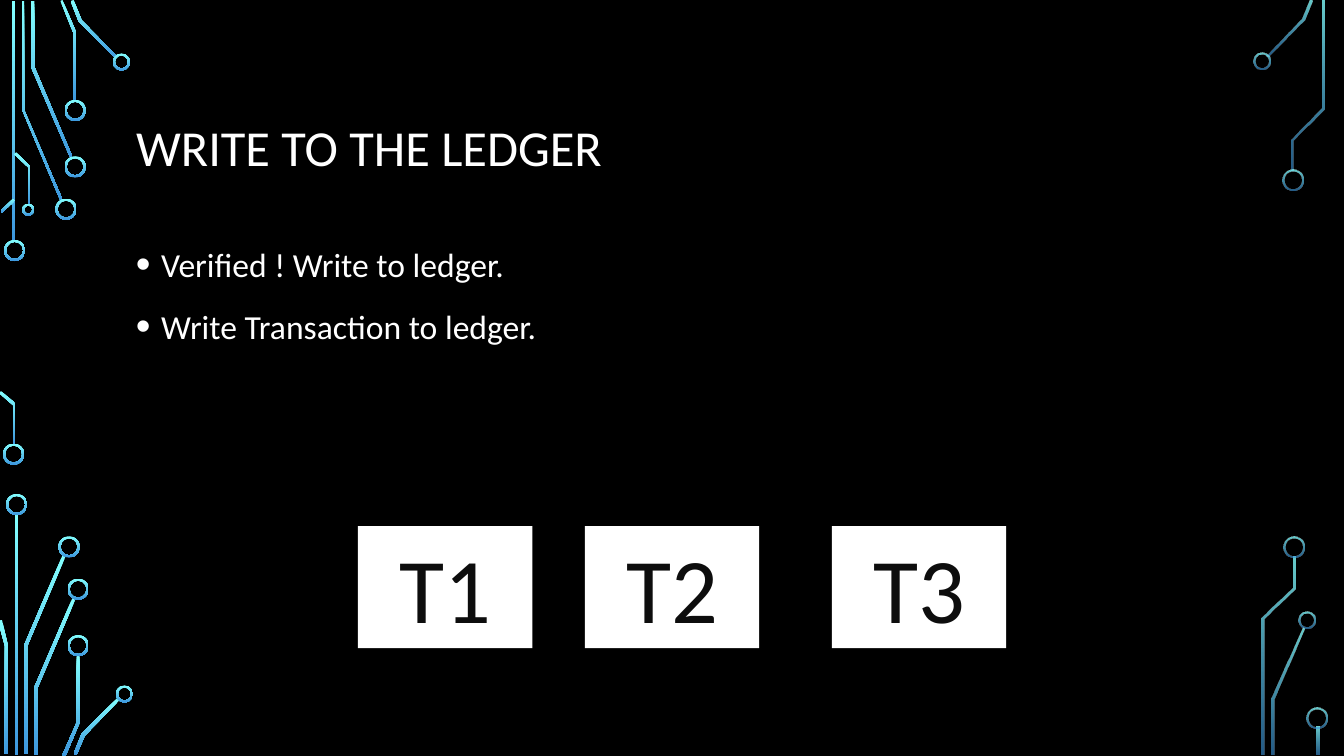
import dataclasses
import typing

import pptx
import pptx.dml.color
import pptx.enum.shapes
import pptx.enum.text
import pptx.oxml.ns
import pptx.util
from lxml import etree

PX = 9144  # EMU in one px, 100 px to the inch
FONT = "Calibri"
COLORS = {
    "background": "000000",
    "glow_top": "82FFFF",
    "glow_bottom": "3D97DE",
    "text": "FFFFFF",
    "card": "FFFFFF",
    "card_text": "0D0D0D",
}
SHAPES = pptx.enum.shapes.MSO_SHAPE
RING_WALL = 2


@dataclasses.dataclass(frozen=True)
class Box:
    left: int
    top: int
    width: int
    height: int

    def emu(self) -> tuple[int, int, int, int]:
        return self.left * PX, self.top * PX, self.width * PX, self.height * PX


@dataclasses.dataclass(frozen=True)
class Ring:
    left: int
    top: int
    size: int = 21


@dataclasses.dataclass(frozen=True)
class Circuit:
    opacity: tuple[int, int]  # percent at top and bottom
    bars: list[Box]
    rings: list[Ring]
    traces: list[list[tuple[int, int]]]


@dataclasses.dataclass(frozen=True)
class Card:
    label: str
    left: int


LEFT_CIRCUIT = Circuit(
    opacity=(100, 100),
    bars=[Box(12, 1, 3, 239), Box(15, 510, 3, 239)],
    rings=[
        Ring(4, 238), Ring(3, 440), Ring(55, 197), Ring(64, 155), Ring(64, 99),
        Ring(112, 53, 17), Ring(22, 202, 12), Ring(6, 490), Ring(58, 532),
        Ring(67, 574), Ring(67, 630), Ring(115, 680, 17),
    ],
    traces=[
        [(60, 199), (22, 109), (22, 1), (24, 1), (24, 109), (62, 198)],
        [(70, 157), (31, 67), (31, 1), (34, 1), (34, 66), (72, 156)],
        [(76, 100), (73, 100), (73, 33), (60, 1), (62, 0), (76, 33)],
        [(115, 58), (78, 21), (70, 1), (73, 0), (81, 20), (116, 56)],
        [(2, 211), (1, 209), (13, 197), (15, 199)],
        [(15, 441), (13, 441), (13, 402), (-1, 390), (1, 388), (15, 400)],
        [(30, 203), (28, 203), (28, 166), (14, 153), (16, 151), (30, 165)],
        [(27, 748), (24, 748), (24, 640), (62, 551), (65, 552), (27, 641)],
        [(8, 748), (5, 748), (5, 641), (-2, 616), (2, 615), (8, 641)],
        [(37, 749), (34, 749), (34, 682), (72, 593), (75, 594), (37, 683)],
        [(65, 750), (62, 749), (76, 717), (76, 650), (79, 650), (79, 717)],
        [(76, 749), (73, 748), (81, 728), (117, 692), (119, 694), (84, 730)],
    ],
)
RIGHT_CIRCUIT = Circuit(
    opacity=(80, 60),
    bars=[Box(1306, 721, 3, 28)],
    rings=[
        Ring(1243, 52, 17), Ring(1272, 168), Ring(1288, 607, 17),
        Ring(1273, 532), Ring(1296, 702),
    ],
    traces=[
        [(1258, 56), (1256, 55), (1291, 19), (1299, 0), (1302, 1), (1294, 20)],
        [(1264, 749), (1261, 749), (1261, 693), (1292, 623), (1294, 624), (1264, 694)],
        [(1283, 169), (1281, 169), (1281, 138), (1311, 107), (1311, 1), (1314, 1),
         (1314, 108), (1283, 139)],
        [(1254, 749), (1251, 749), (1251, 613), (1282, 583), (1282, 552), (1285, 552),
         (1285, 584), (1254, 614)],
    ],
)
TITLE_BOX = Box(125, 68, 1083, 162)
BODY_BOX = Box(125, 229, 1083, 267)
BULLETS = ["Verified ! Write to ledger.", "Write Transaction to ledger."]
CARDS = [Card("T1", 355), Card("T2", 580), Card("T3", 825)]
CARD_TOP, CARD_WIDTH, CARD_HEIGHT = 522, 173, 121


def color(name: str) -> pptx.dml.color.RGBColor:
    return pptx.dml.color.RGBColor.from_string(COLORS[name])


def add_span(para: typing.Any, text: str, size: int, color_name: str) -> None:
    span = para.add_run()
    span.text = text
    span.font.name = FONT
    span.font.size = pptx.util.Pt(size)
    span.font.color.rgb = color(color_name)


def glow(shape: typing.Any, opacity: tuple[int, int]) -> None:
    """Fill a circuit part from light at the top to dark at the bottom."""
    shape.shadow.inherit = False
    shape.line.fill.background()
    shape.fill.gradient()
    shape.fill.gradient_angle = 270
    for stop, name in zip(shape.fill.gradient_stops, ("glow_top", "glow_bottom")):
        stop.color.rgb = color(name)
    tag = pptx.oxml.ns.qn("a:srgbClr")
    for node, percent in zip(shape.fill._xPr.iter(tag), opacity):
        if percent < 100:
            etree.SubElement(node, pptx.oxml.ns.qn("a:alpha"), val=str(percent * 1000))


def draw_circuit(page: typing.Any, circuit: Circuit) -> None:
    for bar in circuit.bars:
        glow(page.shapes.add_shape(SHAPES.RECTANGLE, *bar.emu()), circuit.opacity)
    for start, *rest in circuit.traces:
        builder = page.shapes.build_freeform(*start, scale=PX)
        builder.add_line_segments(rest, close=True)
        glow(builder.convert_to_shape(), circuit.opacity)
    for ring in circuit.rings:
        box = Box(ring.left, ring.top, ring.size, ring.size)
        shape = page.shapes.add_shape(SHAPES.DONUT, *box.emu())
        shape.adjustments[0] = RING_WALL / ring.size
        glow(shape, circuit.opacity)


def write_title(page: typing.Any, text: str) -> None:
    title = page.shapes.title
    title.left, title.top, title.width, title.height = TITLE_BOX.emu()
    frame = title.text_frame
    frame.auto_size = pptx.enum.text.MSO_AUTO_SIZE.NONE
    frame.vertical_anchor = pptx.enum.text.MSO_ANCHOR.MIDDLE
    para = frame.paragraphs[0]
    para.alignment = pptx.enum.text.PP_ALIGN.LEFT
    para.line_spacing = 0.9
    add_span(para, text, 36, "text")


def write_bullets(page: typing.Any, lines: list[str]) -> None:
    frame = page.shapes.add_textbox(*BODY_BOX.emu()).text_frame
    frame.word_wrap = True
    for index, line in enumerate(lines):
        para = frame.add_paragraph() if index else frame.paragraphs[0]
        para.line_spacing = 1.2
        para.space_before = pptx.util.Pt(10)
        props = para._p.get_or_add_pPr()
        props.set("marL", str(25 * PX))
        props.set("indent", str(-25 * PX))
        etree.SubElement(props, pptx.oxml.ns.qn("a:buSzPct"), val="125000")
        etree.SubElement(props, pptx.oxml.ns.qn("a:buFont"), typeface="Arial")
        etree.SubElement(props, pptx.oxml.ns.qn("a:buChar"), char="•")
        add_span(para, line, 24, "text")


def draw_card(page: typing.Any, card: Card) -> None:
    box = Box(card.left, CARD_TOP, CARD_WIDTH, CARD_HEIGHT)
    shape = page.shapes.add_shape(SHAPES.RECTANGLE, *box.emu())
    shape.shadow.inherit = False
    shape.fill.solid()
    shape.fill.fore_color.rgb = color("card")
    shape.line.fill.background()
    frame = shape.text_frame
    frame.word_wrap = True
    frame.vertical_anchor = pptx.enum.text.MSO_ANCHOR.TOP
    frame.auto_size = pptx.enum.text.MSO_AUTO_SIZE.SHAPE_TO_FIT_TEXT
    para = frame.paragraphs[0]
    para.alignment = pptx.enum.text.PP_ALIGN.CENTER
    add_span(para, card.label, 66, "card_text")


def main() -> None:
    deck = pptx.Presentation()
    deck.slide_width, deck.slide_height = 1333 * PX, 750 * PX
    page = deck.slides.add_slide(deck.slide_layouts.get_by_name("Title Only"))
    page.background.fill.solid()
    page.background.fill.fore_color.rgb = color("background")

    # Circuit decoration
    for circuit in (LEFT_CIRCUIT, RIGHT_CIRCUIT):
        draw_circuit(page, circuit)

    # Title and bullets
    write_title(page, "WRITE TO THE LEDGER")
    write_bullets(page, BULLETS)

    # Transaction cards
    for card in CARDS:
        draw_card(page, card)

    deck.save("out.pptx")


if __name__ == "__main__":
    main()
